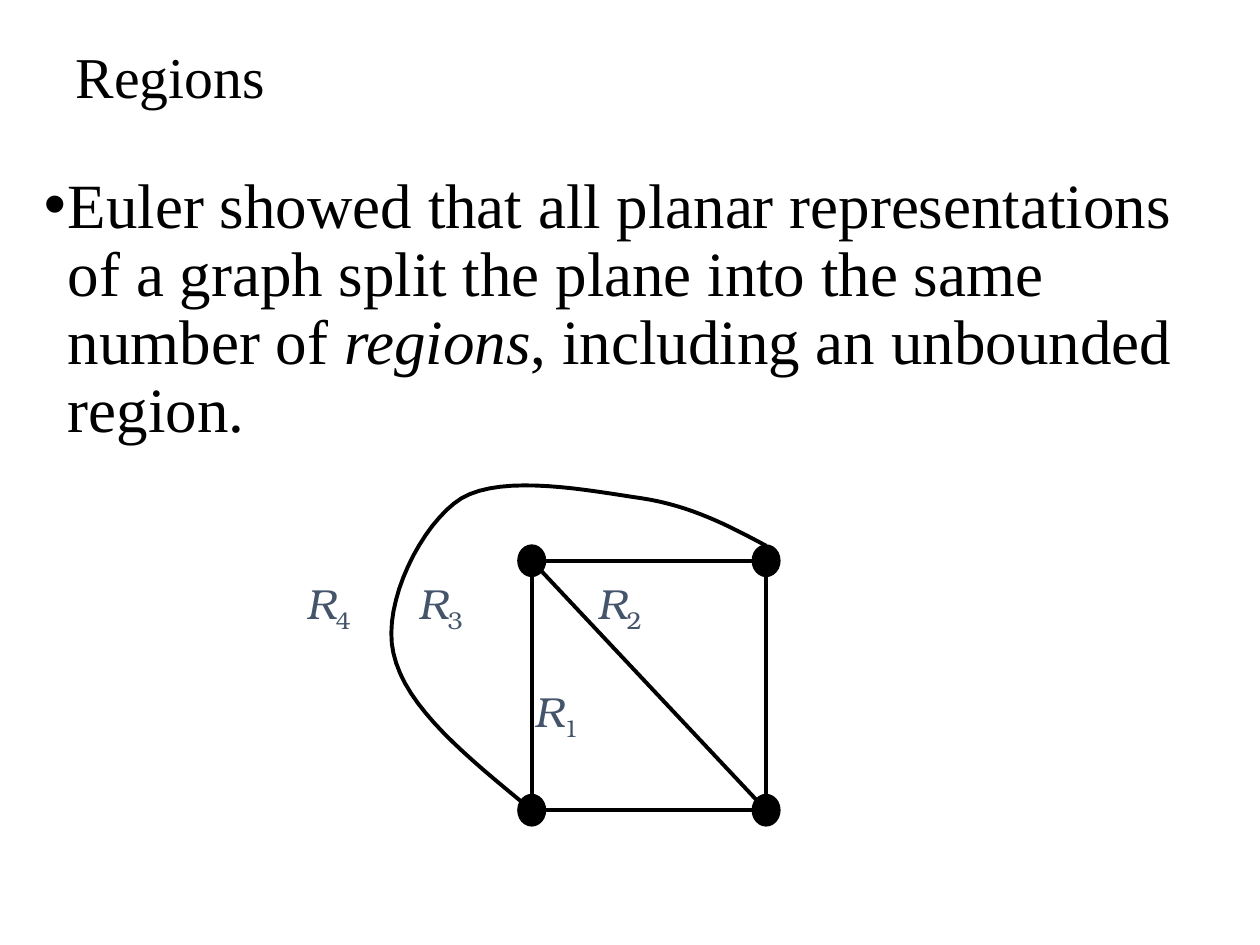
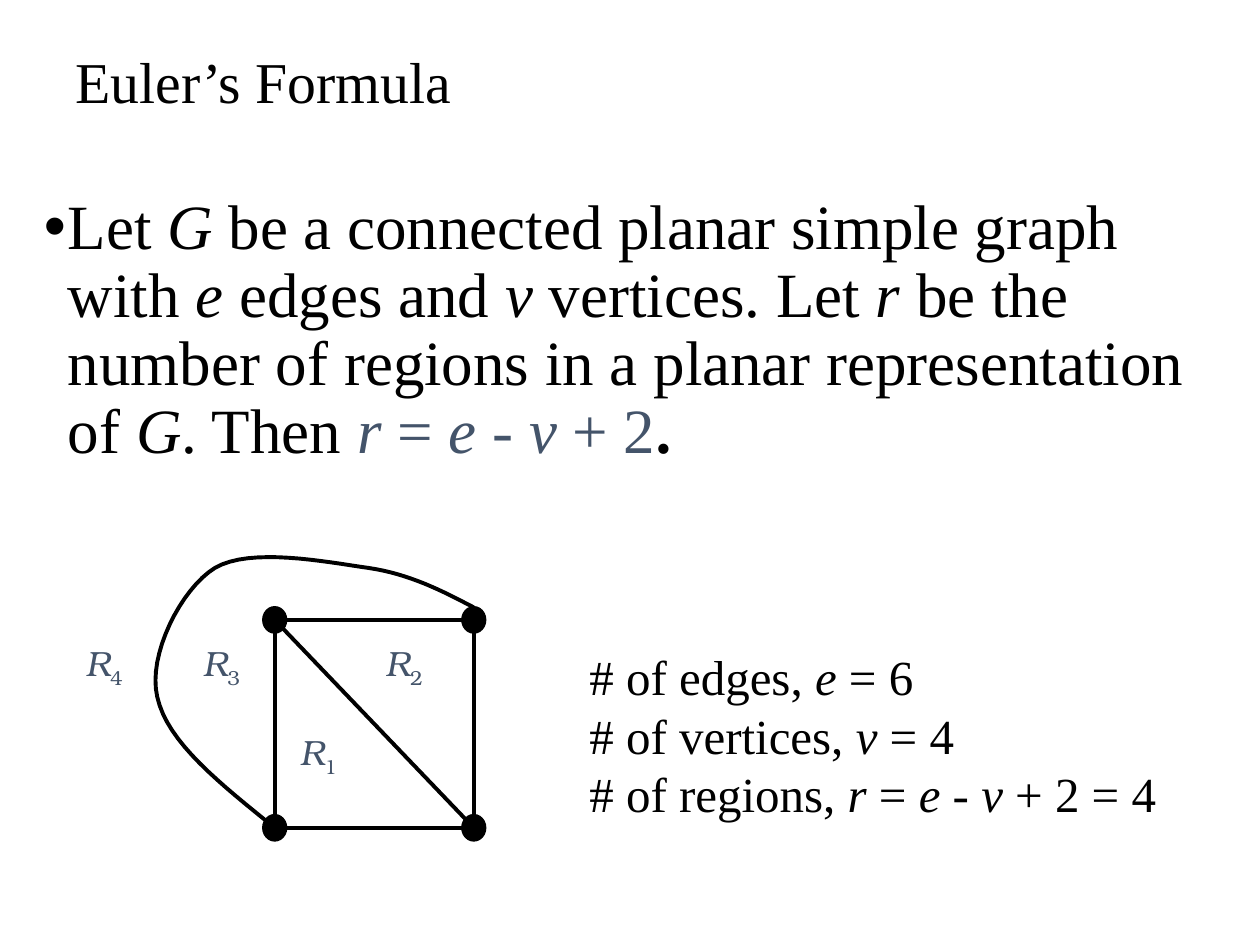
from lxml.etree import SubElement
from pptx import Presentation
from pptx.dml.color import RGBColor
from pptx.enum.shapes import MSO_CONNECTOR, MSO_SHAPE
from pptx.enum.text import MSO_ANCHOR, PP_ALIGN
from pptx.oxml.ns import qn
from pptx.util import Inches, Pt

BLACK = RGBColor(0x00, 0x00, 0x00)
SLATE = RGBColor(0x44, 0x54, 0x6A)
SERIF = "Times New Roman"
MATH_FONT = "TeX Gyre Bonum"
TITLE_ONLY = 5
CURVE_STEPS = 16

# Cubic curve from the top right to the bottom left corner, in units of the square
OUTER_EDGE = [
    (1, -0.06),
    (0.84, -0.14), (0.68, -0.22), (0.47, -0.25),
    (0.25, -0.28), (-0.12, -0.35), (-0.30, -0.25),
    (-0.47, -0.15), (-0.64, 0.17), (-0.59, 0.37),
    (-0.54, 0.59), (-0.27, 0.79), (0, 1),
]


def add_text(paragraph, text, size, font=SERIF, color=BLACK, bold=False, baseline=0):
    """Append text to the paragraph; parts between asterisks are italic."""
    for index, part in enumerate(text.split("*")):
        if not part:
            continue
        run = paragraph.add_run()
        run.text = part
        run.font.name = font
        run.font.size = Pt(size)
        run.font.color.rgb = color
        run.font.bold = bold
        run.font.italic = index % 2 == 1
        if baseline:
            run.font._element.set("baseline", str(baseline * 1000))


def curve_points(controls):
    """Points along a chain of cubic Bézier segments."""
    points = [controls[0]]
    for start in range(0, len(controls) - 1, 3):
        segment = controls[start:start + 4]
        for step in range(1, CURVE_STEPS + 1):
            t = step / CURVE_STEPS
            weights = ((1 - t) ** 3, 3 * t * (1 - t) ** 2, 3 * t ** 2 * (1 - t), t ** 3)
            points.append(tuple(
                sum(weight * point[axis] for weight, point in zip(weights, segment))
                for axis in (0, 1)
            ))
    return points


class GraphDeck:
    def __init__(self):
        self.presentation = Presentation()
        self.presentation.slide_width = Inches(10)
        self.presentation.slide_height = Inches(7.5)
        self.slide = None

    def new_slide(self, title, title_height):
        layout = self.presentation.slide_layouts[TITLE_ONLY]
        self.slide = self.presentation.slides.add_slide(layout)
        shape = self.slide.shapes.title
        shape.left, shape.top = Inches(0.5), Inches(0.17)
        shape.width, shape.height = Inches(9), Inches(title_height)
        shape.text_frame.vertical_anchor = MSO_ANCHOR.MIDDLE
        paragraph = shape.text_frame.paragraphs[0]
        paragraph.alignment = PP_ALIGN.LEFT
        paragraph.line_spacing = 0.9
        add_text(paragraph, title, 33)

    def text_box(self, left, top, width, height):
        box = self.slide.shapes.add_textbox(
            Inches(left), Inches(top), Inches(width), Inches(height))
        box.text_frame.word_wrap = True
        return box.text_frame

    def bullet(self, top, width, height):
        """Add the main statement's box and return its empty bulleted paragraph."""
        paragraph = self.text_box(0.25, top, width, height).paragraphs[0]
        properties = paragraph._p.get_or_add_pPr()
        properties.set("marL", str(Inches(0.19)))
        properties.set("indent", str(-Inches(0.19)))
        SubElement(properties, qn("a:buFont"), typeface="Arial")
        SubElement(properties, qn("a:buChar"), char="•")
        paragraph.line_spacing = 0.9
        return paragraph

    def text_lines(self, left, top, width, height, lines, size):
        frame = self.text_box(left, top, width, height)
        for index, line in enumerate(lines):
            paragraph = frame.add_paragraph() if index else frame.paragraphs[0]
            add_text(paragraph, line, size)

    def stroke(self, shape, width=2.25):
        shape.line.color.rgb = BLACK
        shape.line.width = Pt(width)

    def region_label(self, shapes, number, left, top, size):
        box = shapes.add_textbox(Inches(left), Inches(top), Inches(0.4), Inches(0.4))
        frame = box.text_frame
        frame.word_wrap = False
        frame.margin_left = frame.margin_right = 0
        frame.margin_top = frame.margin_bottom = 0
        paragraph = frame.paragraphs[0]
        add_text(paragraph, "*R*", size, font=MATH_FONT, color=SLATE)
        add_text(paragraph, str(number), size, font=MATH_FONT, color=SLATE, baseline=-25)

    def planar_graph(self, left, top, width, height, node, labels, label_size):
        """Draw the square graph with its diagonal, outer edge and region labels."""
        shapes = self.slide.shapes.add_group_shape().shapes

        def place(x, y):
            return Inches(left + x * width), Inches(top + y * height)

        square = shapes.add_shape(
            MSO_SHAPE.RECTANGLE, *place(0, 0), Inches(width), Inches(height))
        square.shadow.inherit = False
        square.fill.background()
        self.stroke(square)

        diagonal = shapes.add_connector(MSO_CONNECTOR.STRAIGHT, *place(0, 0), *place(1, 1))
        self.stroke(diagonal)
        SubElement(diagonal._element.spPr, qn("a:effectLst"))

        node_width, node_height = map(Inches, node)
        for corner in ((0, 0), (0, 1), (1, 1), (1, 0)):
            x, y = place(*corner)
            vertex = shapes.add_shape(
                MSO_SHAPE.OVAL, x - node_width // 2, y - node_height // 2,
                node_width, node_height)
            vertex.shadow.inherit = False
            vertex.fill.solid()
            vertex.fill.fore_color.rgb = BLACK
            self.stroke(vertex, 0.75)

        points = [place(*point) for point in curve_points(OUTER_EDGE)]
        builder = shapes.build_freeform(*points[0])
        builder.add_line_segments(points[1:], close=False)
        outer_edge = builder.convert_to_shape()
        outer_edge.shadow.inherit = False
        outer_edge.fill.background()
        self.stroke(outer_edge)

        for number, (x, y) in labels.items():
            self.region_label(shapes, number, x, y, label_size)


def regions_slide(deck):
    deck.new_slide("Regions", 0.92)
    statement = deck.bullet(1.33, 9.42, 2.83)
    add_text(statement, "Euler showed that all planar representations of a graph split "
             "the plane into the same number of *regions*, including an unbounded region.", 36)
    deck.planar_graph(
        4.22, 4.45, 1.86, 1.98, node=(0.22, 0.25), label_size=24,
        labels={4: (2.43, 4.58), 3: (3.32, 4.58), 2: (4.74, 4.58), 1: (4.24, 5.44)})


def formula_slide(deck):
    deck.new_slide("Euler’s Formula", 1)
    statement = deck.bullet(1.5, 9.33, 3.08)
    add_text(statement, "Let *G* be a connected planar simple graph with *e* edges and "
             "*v* vertices. Let *r* be the number of regions in a planar representation "
             "of *G*. Then ", 36)
    add_text(statement, "*r* = *e* - *v* + 2", 36, color=SLATE)
    add_text(statement, ".", 36, bold=True)
    deck.text_lines(4.58, 5.08, 5.08, 1.5, [
        "# of edges, *e* = 6",
        "# of vertices, *v* = 4",
        "# of regions, *r* = *e* - *v* + 2 = 4",
    ], size=28)
    deck.planar_graph(
        2.18, 4.92, 1.58, 1.65, node=(0.19, 0.21), label_size=20,
        labels={4: (0.68, 5.09), 3: (1.61, 5.09), 2: (3.06, 5.09), 1: (2.38, 5.8)})


def main():
    deck = GraphDeck()
    regions_slide(deck)
    formula_slide(deck)
    deck.presentation.save("out.pptx")


if __name__ == "__main__":
    main()
